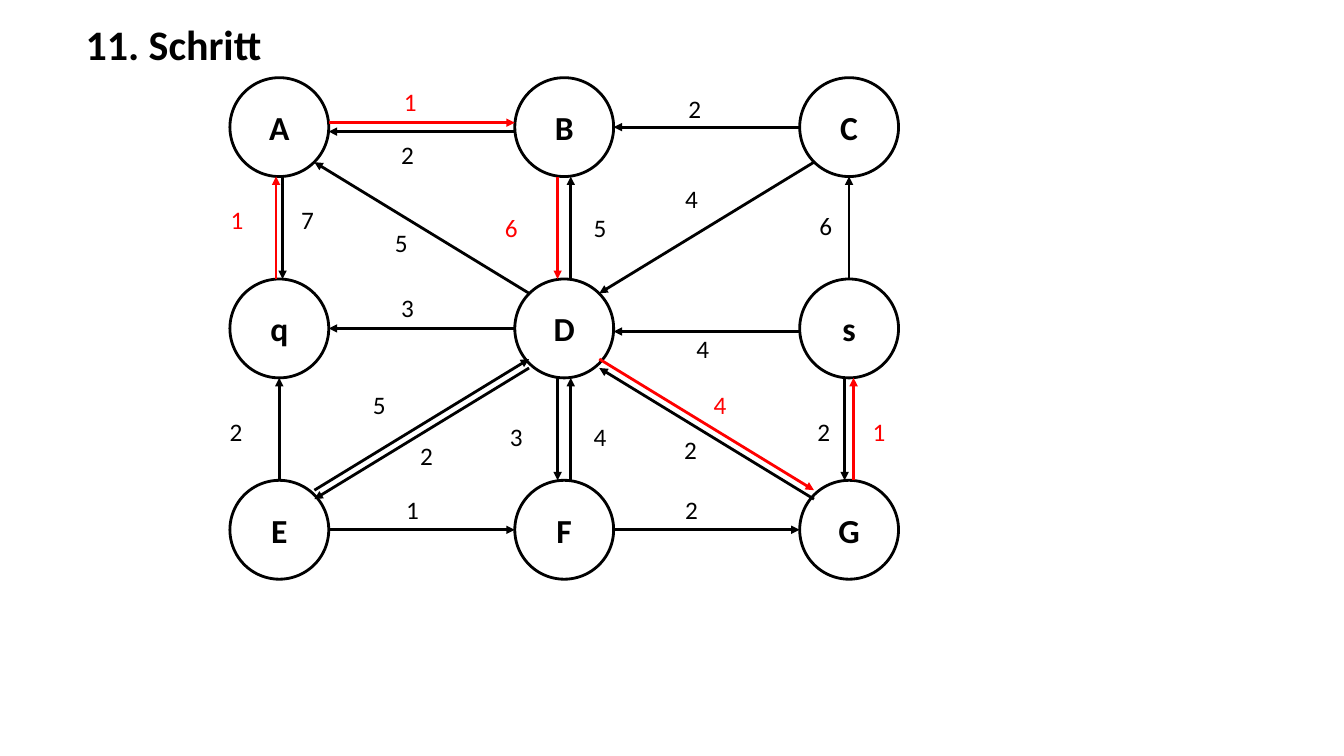
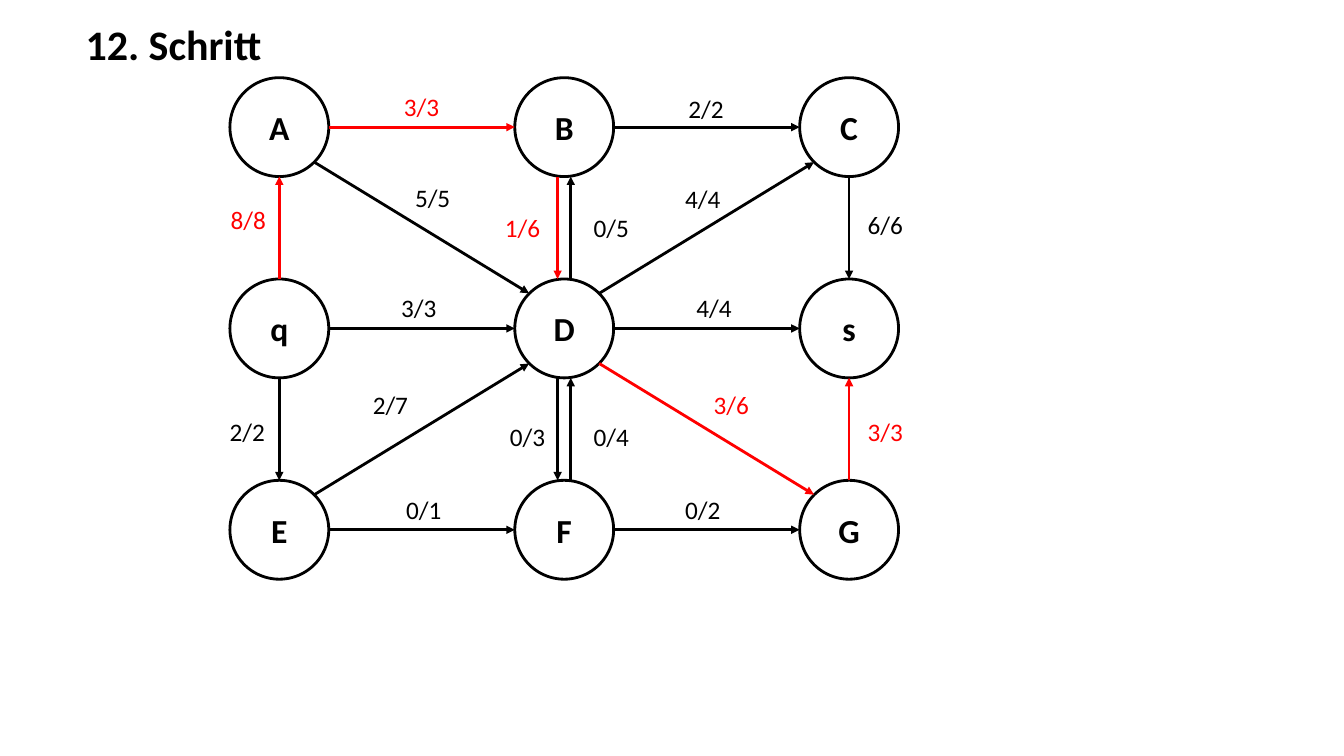
from pptx import Presentation
from pptx.dml.color import RGBColor
from pptx.enum.shapes import MSO_CONNECTOR as LINK, MSO_SHAPE as SHAPE
from pptx.enum.text import MSO_ANCHOR as ANCHOR, MSO_AUTO_SIZE as AUTO, PP_ALIGN as ALIGN
from pptx.oxml import parse_xml
from pptx.oxml.ns import nsdecls, qn
from pptx.util import Pt

BLACK, RED = "000000", "FF0000"
FLOW = {"qA", "AB", "BD", "DG", "Gs"}
SIZE = 70.6
NODES = {name: (199.5 + 203.5 * (i % 3), 90.8 + 143.8 * (i // 3))
         for i, name in enumerate("ABCqDsEFG")}

SHARED = {
    "BD": (-4.7, 353.5, 148.3), "DB": (4.7, 416.9, 148.3),
    "DF": (-4.7, 357.1, 297.4), "FD": (4.7, 416.9, 297.4),
    "EF": (0, 283, 349.2), "FG": (0, 482.4, 349.2),
}
REST = {
    **SHARED,
    "AB": (-3.2, 281.5, 58.3), "BA": (3.2, 279.4, 95.8),
    "CB": (0, 484.6, 63.4), "CD": (0, 482.4, 127.4),
    "DA": (0, 275, 159.1), "Dq": (0, 279.4, 205.2),
    "sD": (2.2, 490.3, 234.7), "sC": (0, 578.2, 146.9),
    "qA": (-2.3, 157.7, 142.6), "Aq": (2.3, 208.1, 142.6),
    "Eq": (0, 157, 293.8), "ED": (-3.2, 259.2, 274.3),
    "DE": (3.2, 293, 311), "DG": (-3.2, 502.6, 274.3),
    "GD": (3.2, 481.7, 306.7), "sG": (-3.2, 576.7, 293.8),
    "Gs": (3.2, 616.3, 293.8),
}
FULL = {
    **SHARED,
    "AB": (0, 281.5, 61.9), "BC": (0, 484.6, 63.4),
    "AD": (0, 289.4, 126.7), "DC": (0, 482.4, 127.4),
    "qD": (0, 279.4, 205.2), "Ds": (0, 490.3, 205.2),
    "Cs": (0, 612.7, 146.2), "qA": (0, 157.7, 142.6),
    "qE": (0, 157, 293.8), "ED": (0, 259.2, 274.3),
    "DG": (0, 502.6, 274.3), "Gs": (0, 612.7, 293.8),
}
STEPS = [
    ("11. Schritt", REST, {
        "AB": "1", "BA": "2", "CB": "2", "CD": "4", "DA": "5", "Dq": "3",
        "sD": "4", "sC": "6", "qA": "1", "Aq": "7", "Eq": "2", "ED": "5",
        "DE": "2", "DG": "4", "GD": "2", "sG": "2", "Gs": "1", "BD": "6",
        "DB": "5", "DF": "3", "FD": "4", "EF": "1", "FG": "2"}),
    ("12. Schritt", FULL, {
        "AB": "3/3", "BC": "2/2", "AD": "5/5", "DC": "4/4", "qD": "3/3",
        "Ds": "4/4", "Cs": "6/6", "qA": "8/8", "qE": "2/2", "ED": "2/7",
        "DG": "3/6", "Gs": "3/3", "BD": "1/6", "DB": "0/5", "DF": "0/3",
        "FD": "0/4", "EF": "0/1", "FG": "0/2"}),
]


def paint(color, tint):
    color.rgb = RGBColor.from_string(tint)


def sign(value):
    return (value > 0) - (value < 0)


class Graph:
    fonts = {
        "title": {"name": "Calibri", "size": Pt(30), "bold": True},
        "node": {"name": "Calibri", "size": Pt(24), "bold": True},
        "label": {"name": "Calibri", "size": Pt(18), "bold": False},
    }

    def __init__(self, deck):
        self.slide = deck.slides.add_slide(deck.slide_layouts[6])

    def letter(self, frame, text, style, tint):
        frame.word_wrap = False
        para = frame.paragraphs[0]
        para.text = text
        for key, value in self.fonts[style].items():
            setattr(para.font, key, value)
        paint(para.font.color, tint)
        return para

    def text(self, left, top, wide, high, text, style, tint=BLACK):
        box = self.slide.shapes.add_textbox(Pt(left), Pt(top), Pt(wide), Pt(high))
        self.letter(box.text_frame, text, style, tint)
        box.text_frame.auto_size = AUTO.SHAPE_TO_FIT_TEXT

    def stroke(self, line, tint):
        line.fill.solid()
        paint(line.fill.fore_color, tint)
        line.width = Pt(2)

    def node(self, name):
        x, y = NODES[name]
        disc = self.slide.shapes.add_shape(
            SHAPE.OVAL, Pt(x - SIZE / 2), Pt(y - SIZE / 2), Pt(SIZE), Pt(SIZE))
        disc.shadow.inherit = False
        disc.fill.background()
        self.stroke(disc.line, BLACK)
        frame = disc.text_frame
        for side in ("left", "right", "top", "bottom"):
            setattr(frame, "margin_" + side, 0)
        frame.vertical_anchor = ANCHOR.MIDDLE
        self.letter(frame, name, "node", BLACK).alignment = ALIGN.CENTER

    def edge(self, pair, shift, tint):
        (x1, y1), (x2, y2) = (NODES[name] for name in pair)
        dx, dy = sign(x2 - x1), sign(y2 - y1)
        reach = SIZE / 2 * (0.71 if dx and dy else 1)
        move, drop = (0, shift) if dx else (shift, 0)
        ends = (x1 + dx * reach + move, y1 + dy * reach + drop,
                x2 - dx * reach + move, y2 - dy * reach + drop)
        link = self.slide.shapes.add_connector(LINK.STRAIGHT, *map(Pt, ends))
        self.stroke(link.line, tint)
        props = link._element.spPr
        props.find(qn("a:ln")).append(
            parse_xml(f'<a:tailEnd {nsdecls("a")} type="triangle"/>'))
        props.append(parse_xml(f'<a:effectLst {nsdecls("a")}/>'))

    def label(self, left, top, text, tint):
        wide = 23.8 if len(text) == 1 else 40.3
        self.text(left, top, wide, 29.1, text, "label", tint)


def main():
    deck = Presentation()
    deck.slide_width, deck.slide_height = Pt(960), Pt(540)
    for title, spots, texts in STEPS:
        graph = Graph(deck)
        graph.text(54, 10, 142, 43.6, title, "title")
        for name in NODES:
            graph.node(name)
        for pair, (shift, left, top) in spots.items():
            tint = RED if pair in FLOW else BLACK
            graph.edge(pair, shift, tint)
            graph.label(left, top, texts[pair], tint)
    deck.save("out.pptx")


if __name__ == "__main__":
    main()
